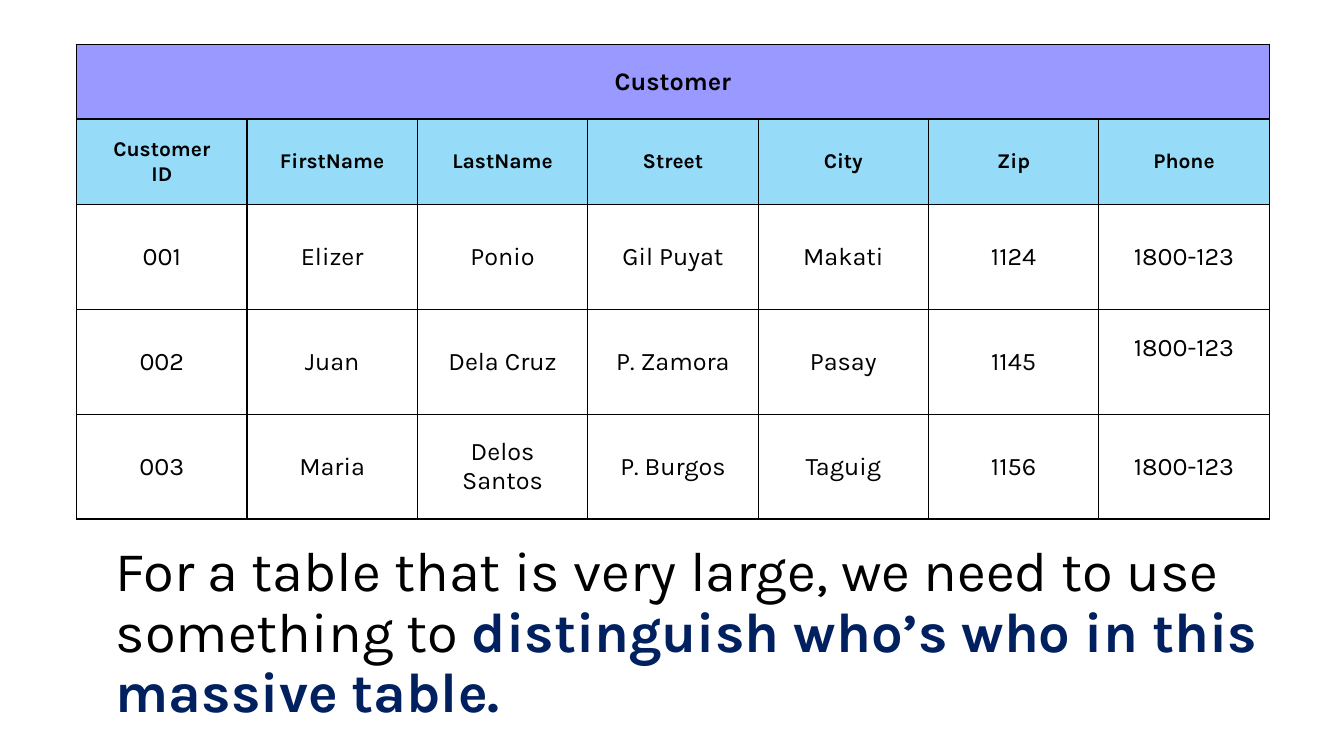
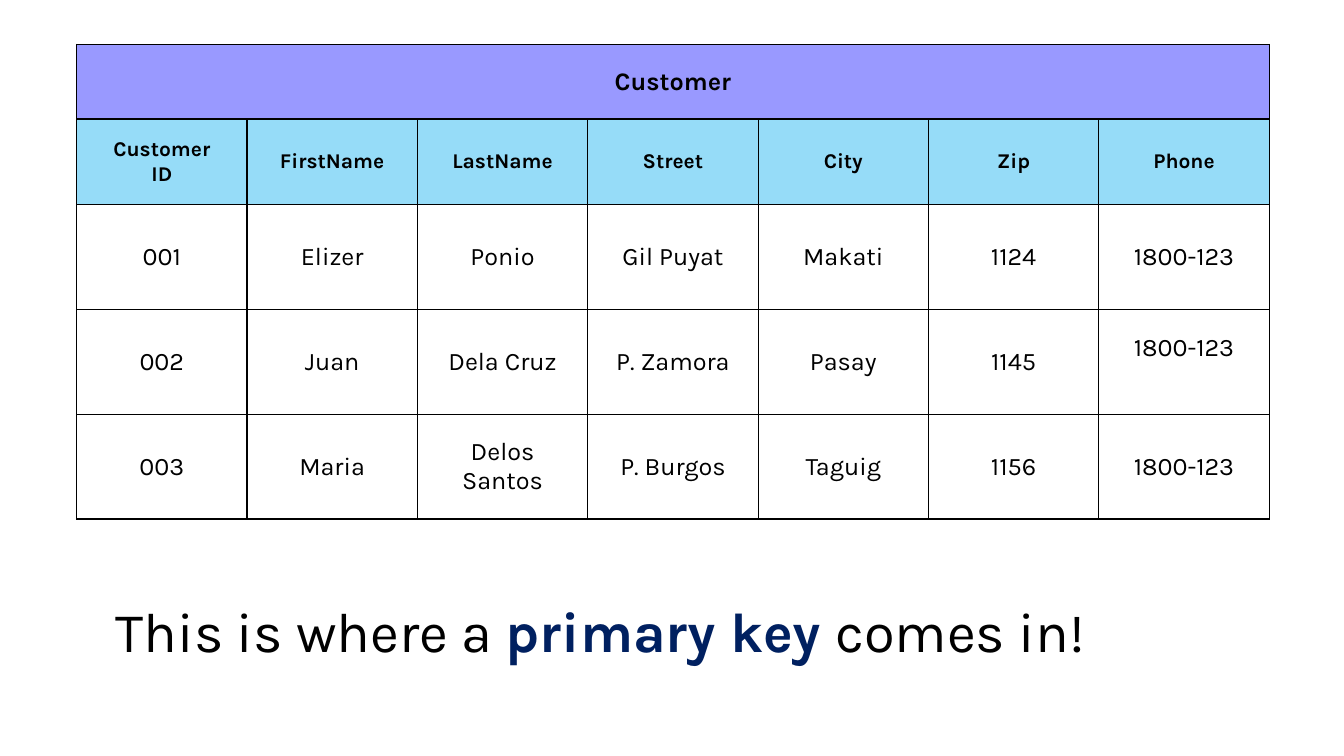
import pptx
import pptx.dml.color
import pptx.enum.text
import pptx.oxml
import pptx.oxml.ns
import pptx.util

Inches = pptx.util.Inches
Pt = pptx.util.Pt
RGBColor = pptx.dml.color.RGBColor
MIDDLE = pptx.enum.text.MSO_ANCHOR.MIDDLE
CENTER = pptx.enum.text.PP_ALIGN.CENTER

BLACK = RGBColor(0x00, 0x00, 0x00)
NAVY = RGBColor(0x00, 0x20, 0x60)
VIOLET = RGBColor(0x99, 0x99, 0xFF)
SKY = RGBColor(0x96, 0xDC, 0xF8)

BASE_FONT = {"name": "Karla", "size": Pt(18), "bold": False}
HEADING_FONT = {**BASE_FONT, "bold": True}
FIELD_FONT = {**HEADING_FONT, "size": Pt(15)}
STATEMENT_FONT = {**BASE_FONT, "size": Pt(40)}

ROW_HEIGHTS = (0.74, 0.85, 1.04, 1.04, 1.04)
COLUMN_WIDTH = 1.69
FIELDS = ("Customer\nID", "FirstName", "LastName", "Street", "City", "Zip", "Phone")
CUSTOMERS = (
    ("001", "Elizer", "Ponio", "Gil Puyat", "Makati", "1124", "1800-123"),
    ("002", "Juan", "Dela Cruz", "P. Zamora", "Pasay", "1145", "1800-123"),
    ("003", "Maria", "Delos Santos", "P. Burgos", "Taguig", "1156", "1800-123"),
)
RAISED_PHONE = (3, 6)

STATEMENTS = (
    (
        ("For a table that is very large, we need to use something to ", False),
        ("distinguish who’s who in this massive table.", True),
    ),
    (
        ("This is where a ", False),
        ("primary key ", True),
        ("comes in!", False),
    ),
)


def format_font(font, values, color):
    for key, value in values.items():
        setattr(font, key, value)
    font.color.rgb = color


def outline_cell(cell):
    properties = cell._tc.get_or_add_tcPr()
    namespace = pptx.oxml.ns.nsdecls("a")
    for side in ("lnL", "lnR", "lnT", "lnB"):
        properties.append(pptx.oxml.parse_xml(
            f'<a:{side} {namespace} w="{Pt(1)}"><a:solidFill>'
            f'<a:srgbClr val="{BLACK}"/></a:solidFill></a:{side}>'
        ))


def style_cell(cell, fill, font):
    cell.vertical_anchor = MIDDLE
    outline_cell(cell)
    if fill is None:
        cell.fill.background()
    else:
        cell.fill.solid()
        cell.fill.fore_color.rgb = fill
    for paragraph in cell.text_frame.paragraphs:
        paragraph.alignment = CENTER
        for run in paragraph.runs:
            format_font(run.font, font, BLACK)


def add_customer_table(slide):
    heading = ("Customer",) + ("",) * (len(FIELDS) - 1)
    rows = [(heading, VIOLET, HEADING_FONT), (FIELDS, SKY, FIELD_FONT)]
    rows += [(customer, None, BASE_FONT) for customer in CUSTOMERS]
    table = slide.shapes.add_table(
        len(rows), len(FIELDS), Inches(0.76), Inches(0.44),
        Inches(COLUMN_WIDTH * len(FIELDS)), Inches(sum(ROW_HEIGHTS)),
    ).table
    table.first_row = False
    table.horz_banding = False
    for column in table.columns:
        column.width = Inches(COLUMN_WIDTH)
    for row, height in zip(table.rows, ROW_HEIGHTS):
        row.height = Inches(height)
    for row_index, (values, fill, font) in enumerate(rows):
        for column_index, value in enumerate(values):
            cell = table.cell(row_index, column_index)
            cell.text = value
            style_cell(cell, fill, font)
    table.cell(0, 0).merge(table.cell(0, len(FIELDS) - 1))
    table.cell(*RAISED_PHONE).margin_bottom = Inches(0.33)


def add_statement(slide, phrases):
    frame = slide.shapes.add_textbox(
        Inches(1.05), Inches(5.42), Inches(11.91), Inches(1.74)
    ).text_frame
    frame.word_wrap = True
    frame.vertical_anchor = MIDDLE
    paragraph = frame.paragraphs[0]
    paragraph.line_spacing = 0.9
    for phrase, emphasized in phrases:
        run = paragraph.add_run()
        run.text = phrase
        format_font(run.font, {**STATEMENT_FONT, "bold": emphasized},
                    NAVY if emphasized else BLACK)


def main():
    deck = pptx.Presentation()
    deck.slide_width = Inches(13.33)
    deck.slide_height = Inches(7.5)
    blank_layout = deck.slide_layouts.get_by_name("Blank")
    for phrases in STATEMENTS:
        slide = deck.slides.add_slide(blank_layout)
        add_customer_table(slide)
        add_statement(slide, phrases)
    deck.save("out.pptx")


if __name__ == "__main__":
    main()
